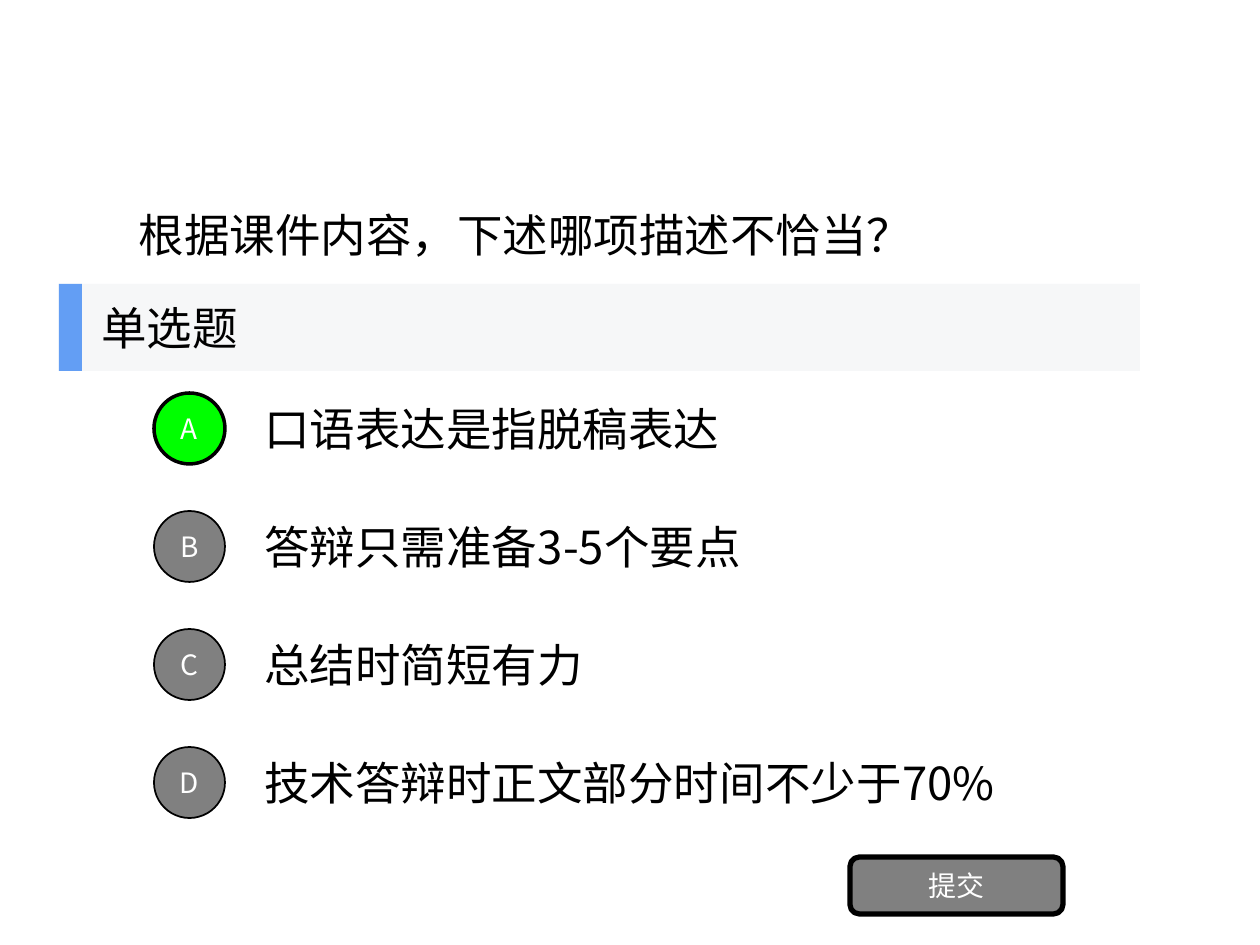
from dataclasses import dataclass

from lxml import etree
from pptx import Presentation
from pptx.dml.color import RGBColor
from pptx.enum.shapes import MSO_SHAPE
from pptx.enum.text import MSO_ANCHOR, MSO_AUTO_SIZE, PP_ALIGN
from pptx.oxml.ns import qn
from pptx.util import Emu, Pt

RECTANGLE = MSO_SHAPE.RECTANGLE
ROUNDED = MSO_SHAPE.ROUNDED_RECTANGLE
OVAL = MSO_SHAPE.OVAL
MIDDLE = MSO_ANCHOR.MIDDLE
LEFT, CENTER = PP_ALIGN.LEFT, PP_ALIGN.CENTER
NO_AUTOFIT = MSO_AUTO_SIZE.NONE

PX_PER_INCH = 126
FONT = "Noto Sans CJK SC"
BODY_SIZE, BUTTON_SIZE = 26, 16
COLORS = {
    "text": "000000",
    "outline": "000000",
    "button_text": "FFFFFF",
    "button": "808080",
    "selected": "00FF00",
    "banner": "F6F7F8",
    "accent": "639EF4",
}
FIRST_OPTION_TOP, OPTION_PITCH = 384, 118


@dataclass(frozen=True)
class Box:
    left: int
    top: int
    width: int
    height: int

    def emu(self) -> tuple[Emu, ...]:
        return tuple(px(n) for n in (self.left, self.top, self.width, self.height))


@dataclass(frozen=True)
class Option:
    letter: str
    answer: str
    selected: bool = False


OPTIONS = [
    Option("A", "口语表达是指脱稿表达", selected=True),
    Option("B", "答辩只需准备3-5个要点"),
    Option("C", "总结时简短有力"),
    Option("D", "技术答辩时正文部分时间不少于70%"),
]


def px(length: int) -> Emu:
    return Emu(round(length * 914400 / PX_PER_INCH))


def color(name: str) -> RGBColor:
    return RGBColor.from_string(COLORS[name])


def write(shape, text: str, size: int, color_name: str, align, wrap: bool) -> None:
    frame = shape.text_frame
    frame.text = text
    frame.word_wrap = wrap
    frame.auto_size = NO_AUTOFIT
    frame.vertical_anchor = MIDDLE
    paragraph = frame.paragraphs[0]
    paragraph.alignment = align
    font = paragraph.font
    font.size = Pt(size)
    font.color.rgb = color(color_name)
    font.name = FONT
    # Chinese characters take their typeface from a:ea
    properties = paragraph._p.get_or_add_pPr().find(qn("a:defRPr"))
    etree.SubElement(properties, qn("a:ea")).set("typeface", FONT)


def add_text(shapes, box: Box, text: str, wrap: bool = True) -> None:
    write(shapes.add_textbox(*box.emu()), text, BODY_SIZE, "text", LEFT, wrap)


def add_filled(shapes, kind, box: Box, fill: str):
    shape = shapes.add_shape(kind, *box.emu())
    shape.shadow.inherit = False
    shape.fill.solid()
    shape.fill.fore_color.rgb = color(fill)
    shape.line.fill.background()
    return shape


def add_button(shapes, kind, box: Box, text: str, fill: str, line_width: int) -> None:
    button = add_filled(shapes, kind, box, fill)
    button.line.color.rgb = color("outline")
    button.line.width = Pt(line_width)
    write(button, text, BUTTON_SIZE, "button_text", CENTER, wrap=False)


def add_option(shapes, option: Option, top: int) -> None:
    add_text(shapes, Box(252, top, 882, 88), option.answer)
    fill, line_width = ("selected", 2) if option.selected else ("button", 1)
    add_button(shapes, OVAL, Box(154, top + 9, 71, 71), option.letter, fill, line_width)


def add_banner(shapes, label: str) -> None:
    banner = shapes.add_group_shape().shapes
    add_filled(banner, RECTANGLE, Box(59, 284, 1081, 87), "banner")
    add_filled(banner, RECTANGLE, Box(59, 284, 23, 87), "accent")
    add_text(banner, Box(89, 284, 226, 87), label, wrap=False)


def main() -> None:
    presentation = Presentation()
    presentation.slide_width = px(1260)
    presentation.slide_height = px(945)
    slide = presentation.slides.add_slide(presentation.slide_layouts[5])
    shapes = slide.shapes

    question = shapes.title
    question.left, question.top, question.width, question.height = Box(126, 152, 1008, 165).emu()
    write(question, "根据课件内容，下述哪项描述不恰当？", BODY_SIZE, "text", LEFT, wrap=True)

    for row, option in enumerate(OPTIONS):
        add_option(shapes, option, FIRST_OPTION_TOP + row * OPTION_PITCH)
    add_button(shapes, ROUNDED, Box(850, 857, 213, 57), "提交", "button", 3)
    add_banner(shapes, "单选题")

    presentation.save("out.pptx")


if __name__ == "__main__":
    main()
